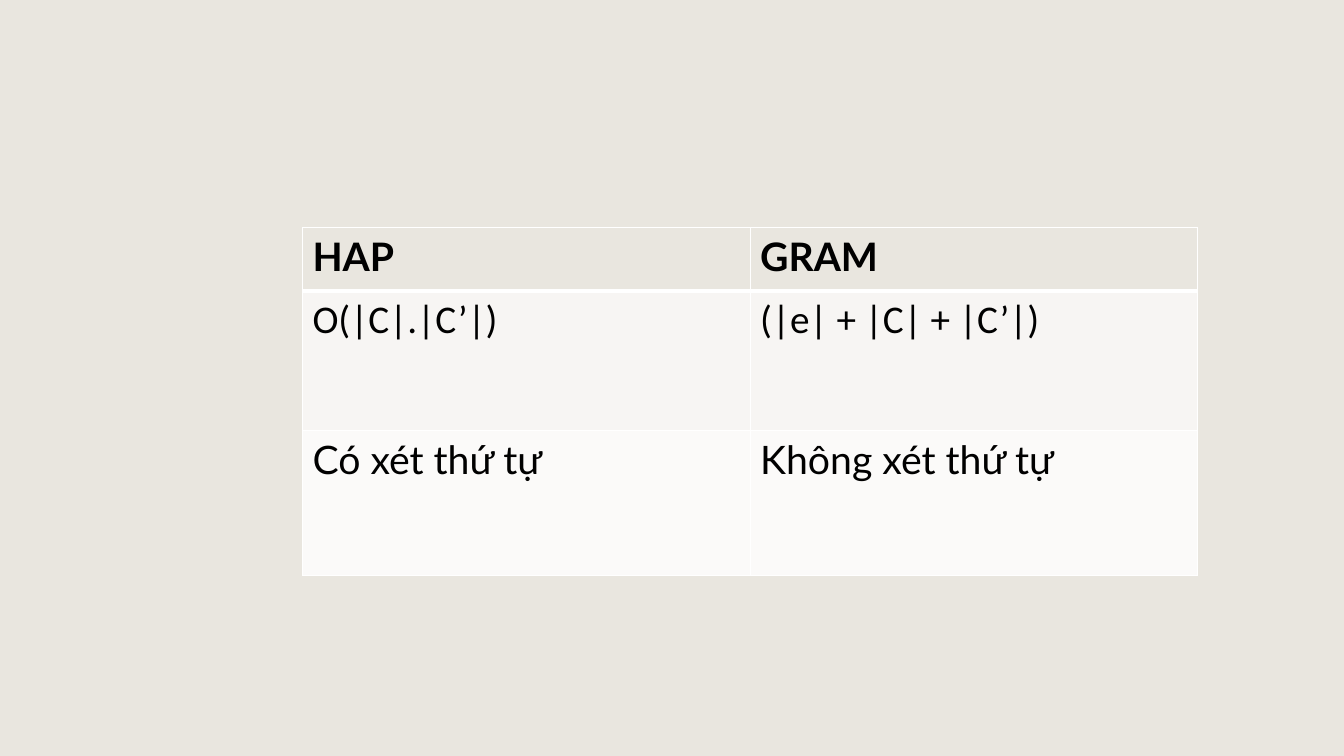
from pptx import Presentation
from pptx.dml.color import RGBColor
from pptx.oxml.ns import qn
from pptx.util import Inches, Pt
from lxml import etree

BACKGROUND = RGBColor(0xE9, 0xE6, 0xDF)
COMPLEXITY_FILL = RGBColor(0xF7, 0xF5, 0xF3)
ORDER_FILL = RGBColor(0xFB, 0xFA, 0xF9)
BLACK = RGBColor(0, 0, 0)
WHITE = RGBColor(0xFF, 0xFF, 0xFF)
THIN, THICK = Pt(1), Pt(3)

ROWS = [
    (("HAP", "GRAM"), 0.63, BACKGROUND, "Lato", True),
    (("O(|C|.|C’|)", "(|e| + |C| + |C’|)"), 1.38, COMPLEXITY_FILL, "Calibri", False),
    (("Có xét thứ tự", "Không xét thứ tự"), 1.44, ORDER_FILL, "Lato", False),
]
COLUMN_WIDTH = Inches(4.44)


def add_border(cell, side, width):
    line = etree.SubElement(cell._tc.get_or_add_tcPr(), qn(f"a:ln{side}"), w=str(width))
    fill = etree.SubElement(line, qn("a:solidFill"))
    etree.SubElement(fill, qn("a:srgbClr"), val=str(WHITE))


presentation = Presentation()
presentation.slide_width = Inches(13.33)
presentation.slide_height = Inches(7.5)
slide = presentation.slides.add_slide(presentation.slide_layouts[6])
slide.background.fill.solid()
slide.background.fill.fore_color.rgb = BACKGROUND

table_height = Inches(sum(row[1] for row in ROWS))
table = slide.shapes.add_table(
    len(ROWS), 2, Inches(3), Inches(2.26), 2 * COLUMN_WIDTH, table_height
).table
for column in table.columns:
    column.width = COLUMN_WIDTH

for row_index, (texts, height, color, font_name, bold) in enumerate(ROWS):
    table.rows[row_index].height = Inches(height)
    top = THICK if row_index == 1 else THIN
    bottom = THICK if row_index == 0 else THIN
    text_format = {"name": font_name, "size": Pt(28), "bold": bold}
    for cell, text in zip(table.rows[row_index].cells, texts):
        for side, width in (("L", THIN), ("R", THIN), ("T", top), ("B", bottom)):
            add_border(cell, side, width)
        cell.fill.solid()
        cell.fill.fore_color.rgb = color
        run = cell.text_frame.paragraphs[0].add_run()
        run.text = text
        for attribute, value in text_format.items():
            setattr(run.font, attribute, value)
        run.font.color.rgb = BLACK

presentation.save("out.pptx")
